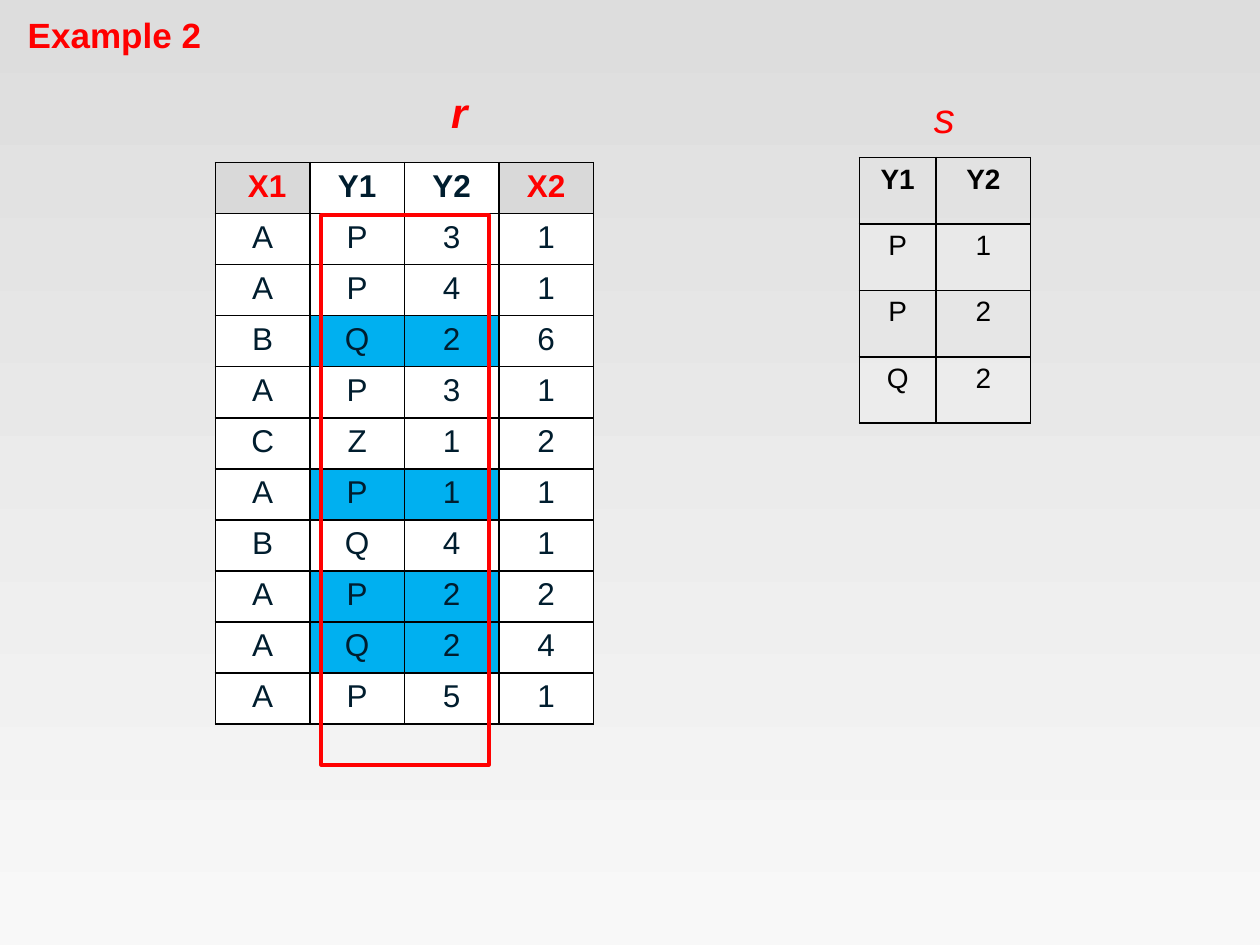
from pptx import Presentation
from pptx import util as u
from pptx.dml.color import RGBColor
from pptx.enum import shapes, text
from pptx.oxml import parse_xml
from pptx.oxml.ns import nsdecls, qn
from lxml import etree

Inches, Pt = u.Inches, u.Pt
RED, NAVY, BLACK = "FF0000", "001D2E", "000000"
WHITE, GREY, BLUE = "FFFFFF", "D9D9D9", "00B0F0"


def color(value):
    return RGBColor.from_string(value)


def write(frame, words, shade, align=text.PP_ALIGN.CENTER, **font):
    para = frame.paragraphs[0]
    para.alignment = align
    span = para.add_run()
    span.text = words
    span.font.name = "Arial"
    span.font.color.rgb = color(shade)
    for name, value in font.items():
        setattr(span.font, name, value)


deck = Presentation()
deck.slide_width, deck.slide_height = Inches(10), Inches(7.5)
page = deck.slides.add_slide(deck.slide_layouts[5])

backdrop = page.background.fill
backdrop.gradient()
backdrop.gradient_angle = 270
for stop, shade in zip(backdrop.gradient_stops, ("DDDDDD", "F8F8F8")):
    stop.color.rgb = color(shade)

title = page.shapes.title
title.left, title.top = Inches(0.12), Inches(0.06)
title.width, title.height = Inches(1.59), Inches(0.44)
frame = title.text_frame
frame.word_wrap = False
frame.auto_size = text.MSO_AUTO_SIZE.SHAPE_TO_FIT_TEXT
frame.vertical_anchor = text.MSO_ANCHOR.TOP
write(frame, "Example 2", RED, text.PP_ALIGN.LEFT, size=Pt(20), bold=True)

labels = [
    ("r", (3.48, 0.64, 0.33, 0.5), True),
    ("s", (7.31, 0.67, 0.37, 0.51), False),
]
for words, place, bold in labels:
    box = page.shapes.add_textbox(*map(Inches, place))
    frame = box.text_frame
    frame.word_wrap = False
    frame.auto_size = text.MSO_AUTO_SIZE.SHAPE_TO_FIT_TEXT
    frame.vertical_anchor = text.MSO_ANCHOR.MIDDLE
    write(frame, words, RED, size=Pt(24), bold=bold, italic=True)

s_rows = ["Y1 Y2".split(), *map(list, ("P1", "P2", "Q2"))]
r_rows = [[" X1", "Y1", "Y2", "X2"]] + [
    list(row) for row in
    "AP31 AP41 BQ26 AP31 CZ12 AP11 BQ41 AP22 AQ24 AP51".split()
]
tables = [
    dict(name="s", rows=s_rows, at=(6.82, 1.25), widths=(0.61, 0.75),
         height=2.11, size=16),
    dict(name="r", rows=r_rows, at=(1.71, 1.29), widths=(0.75,) * 4,
         height=4.46, size=18),
]
for item in tables:
    rows, widths, is_r = item["rows"], item["widths"], item["name"] == "r"
    place = (*item["at"], sum(widths), item["height"])
    grid = page.shapes.add_table(
        len(rows), len(widths), *map(Inches, place)).table
    grid.first_row = grid.horz_banding = False
    for column, width in zip(grid.columns, widths):
        column.width = Inches(width)

    for i, row in enumerate(rows):
        matches = row[1:3] in s_rows[1:]
        for j, words in enumerate(row):
            cell = grid.cell(i, j)
            key_column = j in (1, 2)
            header_end = is_r and i == 0 and not key_column
            shade = RED if header_end else NAVY if is_r else BLACK
            write(cell.text_frame, words, shade,
                  size=Pt(item["size"]), bold=i == 0)

            for side in "LRTB":
                cell._tc.get_or_add_tcPr().append(parse_xml(
                    f'<a:ln{side} {nsdecls("a")} w="12700"><a:solidFill>'
                    f'<a:srgbClr val="{BLACK}"/></a:solidFill></a:ln{side}>'))

            if not is_r and i % 2 == 0:
                cell.fill.background()
                continue
            cell.fill.solid()
            if header_end:
                cell.fill.fore_color.rgb = color(GREY)
            elif is_r and matches and key_column:
                cell.fill.fore_color.rgb = color(BLUE)
            else:
                cell.fill.fore_color.rgb = color(WHITE)
            if not is_r:
                tint = cell._tc.tcPr.find(
                    f'{qn("a:solidFill")}/{qn("a:srgbClr")}')
                etree.SubElement(tint, qn("a:alpha"), val="20000")

key_outline = page.shapes.add_shape(
    shapes.MSO_SHAPE.RECTANGLE, *map(Inches, (2.55, 1.71, 1.33, 4.36)))
key_outline.shadow.inherit = False
key_outline.fill.background()
key_outline.line.color.rgb = color(RED)
key_outline.line.width = Pt(2.25)

deck.save("out.pptx")
